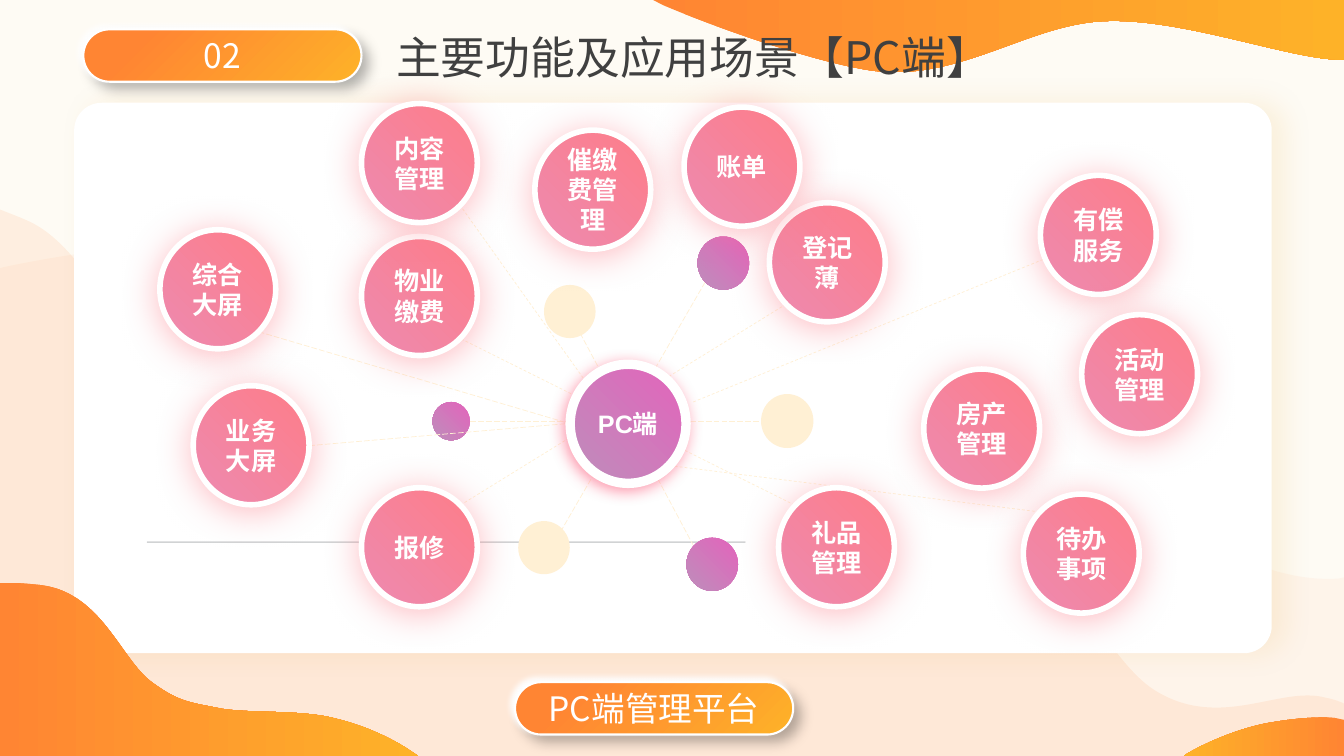
from dataclasses import dataclass

from lxml import etree
from pptx import Presentation
from pptx import util as u
from pptx.dml.color import RGBColor
from pptx.enum import dml, shapes, text
from pptx.oxml import ns


@dataclass(frozen=True)
class Theme:
    """Colours, fonts and type sizes of the slide."""
    orange: str = "FF8533"
    amber: str = "FEB228"
    peach: str = "FFE7D6"
    cream: str = "FFF0D4"
    white: str = "FFFFFF"
    ink: str = "404040"
    rule: str = "D1D3D4"
    bubble: tuple = ("FE7D89", "ED8AB0")
    violet: tuple = ("E364BB", "BE8DBB")
    heading: str = "Noto Sans CJK SC"
    label: str = "Arial"
    title_pt: int = 32
    pill_pt: int = 24
    label_pt: int = 18


T = Theme()
SLIDE = (0, 0, 33.87, 19.05)
CARD = (1.87, 2.59, 30.18, 13.87)
BUBBLE = (2.92, 3.0)
OVAL, ROUND = shapes.MSO_SHAPE.OVAL, shapes.MSO_SHAPE.ROUNDED_RECTANGLE
DASH, LONG = dml.MSO_LINE.DASH, dml.MSO_LINE.LONG_DASH

HILLS = [(5.03, 6.17), (6.1, 6.2, 7.11, 6.32, 7.92, 6.6), (11.25, 7.77, 13.64, 14.45, 16.26, 14.94),
         (18.85, 15.39, 20.96, 9.5, 23.6, 9.42), (26.26, 9.32, 29.92, 13.72, 32.18, 14.4),
         (32.74, 14.55, 33.2, 14.61, 33.73, 14.58), (33.87, 14.55), (33.87, 19.05), (0, 19.05),
         (0, 6.76), (0.1, 6.73), (1.68, 6.4, 3.43, 6.15, 5.03, 6.17)]
DUNES = [(0, 5.28), (0.33, 5.41), (0.46, 5.46, 0.58, 5.51, 0.69, 5.56),
         (2.46, 6.32, 3.63, 9.91, 5.13, 10.95), (6.63, 12.01, 7.98, 10.95, 9.68, 11.86),
         (11.4, 12.78, 13.16, 16.51, 15.44, 16.46), (17.75, 16.38, 21.21, 11.33, 23.5, 11.48),
         (25.78, 11.63, 27.46, 16.38, 29.11, 17.4), (30.76, 18.42, 32.26, 17.27, 33.4, 17.58),
         (33.53, 17.6, 33.68, 17.65, 33.81, 17.7), (33.87, 17.73), (33.87, 19.05), (0, 19.05)]
TOP_WAVE = [(16.46, 0), (33.87, 0), (33.87, 1.5), (32.74, 1.57, 29.92, 0.48, 27.94, 0.53),
            (25.96, 0.56, 24.21, 2.08, 21.97, 1.78), (20.73, 1.6, 18.44, 0.86, 16.71, 0.13)]
RIGHT_WAVE = [(33.32, 18.08), (33.48, 18.08, 33.6, 18.08, 33.73, 18.11), (33.87, 18.14),
              (33.87, 19.05), (29.85, 19.05), (29.87, 19.02),
              (30.51, 18.64, 31.42, 18.29, 32.13, 18.19), (32.49, 18.13, 32.92, 18.08, 33.32, 18.08)]
LEFT_WAVE = [(0, 14.68), (0.23, 14.68), (0.71, 14.71, 1.12, 14.73, 1.42, 14.83),
             (2.67, 15.24, 3.12, 16.69, 3.84, 17.2), (4.52, 17.7, 4.8, 17.7, 5.59, 17.86),
             (6.35, 17.98, 7.62, 17.88, 8.46, 18.11), (9.22, 18.29, 9.96, 18.64, 10.46, 19),
             (10.54, 19.05), (0, 19.05)]

BACK_LINES = [(15.9, 4.52, 12.29, 10.75, LONG), (12.47, 5.28, 15.6, 11.15, LONG),
              (9.98, 8.03, 17.3, 8.03, LONG), (12.9, 7.04, 9.73, 2.59, DASH),
              (9.73, 10.14, 17.93, 5.08, DASH), (18.16, 10.14, 9.73, 5.94, DASH)]
FRONT_LINES = [(15.6, 7.54, 24.51, 3.91, DASH), (4.65, 5.77, 12.47, 8.08, LONG),
               (5.92, 8.64, 12.47, 8.08, LONG), (24.33, 10.31, 14.99, 9.14, DASH)]
FEATURES = [("催缴费管理", 11.61, 0.69), ("物业缴费", 7.24, 3.37), ("登记薄", 17.52, 2.52),
            ("报修", 7.24, 9.7), ("内容管理", 7.24, 0.02), ("礼品管理", 17.75, 9.7),
            ("房产管理", 21.41, 6.71), ("业务大屏", 3, 7.13), ("综合大屏", 2.16, 3.2),
            ("有偿服务", 24.35, 1.83), ("待办事项", 23.92, 9.86), ("活动管理", 25.39, 5.34),
            ("账单", 15.37, 0.11)]
DOTS = [(15.71, 3.37, 1.3, T.violet), (11.19, 10.54, 1.3, T.cream), (15.43, 10.96, 1.3, T.violet),
        (11.84, 4.59, 1.3, T.cream), (9.03, 7.54, 0.94, T.violet), (17.31, 7.34, 1.32, T.cream)]


def solid(color, alpha=100):
    """Return the XML of a solid fill."""
    return (f'<a:solidFill {ns.nsdecls("a")}><a:srgbClr val="{color}">'
            f'<a:alpha val="{alpha * 1000}"/></a:srgbClr></a:solidFill>')


def gradient(colors, direction, last=100):
    """Return the XML of a two-stop gradient with the given direction element."""
    stops = "".join(f'<a:gs pos="{pos * 1000}"><a:srgbClr val="{c}"/></a:gs>'
                    for pos, c in zip((0, last), colors))
    return f'<a:gradFill {ns.nsdecls("a")}><a:gsLst>{stops}</a:gsLst>{direction}</a:gradFill>'


def linear(colors, angle):
    """Return the XML of a linear gradient, its angle clockwise in degrees."""
    return gradient(colors, f'<a:lin ang="{angle * 60000}" scaled="0"/>')


def style(sp, fill, border=0, shadow=None):
    """Set fill, white border width and shadow (colour, alpha, blur, distance, angle)."""
    sp.fill.solid()
    pr = sp._element.spPr
    pr.replace(pr.find(ns.qn("a:solidFill")), etree.fromstring(fill))
    if border:
        sp.line.color.rgb = RGBColor.from_string(T.white)
        sp.line.width = u.Pt(border)
    else:
        sp.line.fill.background()
    sp.shadow.inherit = False
    if shadow:
        color, alpha, blur, dist, angle = shadow
        effect = etree.SubElement(pr.find(ns.qn("a:effectLst")), ns.qn("a:outerShdw"),
                                  blurRad=str(u.Pt(blur)), dist=str(u.Pt(dist)),
                                  dir=str(angle * 60000), algn="ctr", rotWithShape="0")
        rgb = etree.SubElement(effect, ns.qn("a:srgbClr"), val=color)
        etree.SubElement(rgb, ns.qn("a:alpha"), val=str(alpha * 1000))


def add_preset(s, kind, box, fill, border=0, shadow=None, corner=None):
    """Add a styled preset shape in a box given in centimetres."""
    sp = s.shapes.add_shape(kind, *map(u.Cm, box))
    if corner is not None:
        sp.adjustments[0] = corner
    style(sp, fill, border, shadow)
    return sp


def write(sp, words, size, font, color, align=text.PP_ALIGN.CENTER, bold=False, inset=0):
    """Write one run into a shape, centred vertically."""
    tf = sp.text_frame
    tf.word_wrap = True
    tf.auto_size = text.MSO_AUTO_SIZE.NONE
    tf.vertical_anchor = text.MSO_ANCHOR.MIDDLE
    tf.margin_left = tf.margin_right = u.Cm(inset)
    tf.margin_top = tf.margin_bottom = u.Cm(inset / 2)
    p = tf.paragraphs[0]
    p.alignment = align
    r = p.add_run()
    r.text = words
    r.font.size, r.font.bold, r.font.name = u.Pt(size), bold, font
    r.font.color.rgb = RGBColor.from_string(color)
    etree.SubElement(r._r.get_or_add_rPr(), ns.qn("a:ea"), typeface=font)


def add_wave(s, box, outline, fill):
    """Draw a closed outline of lines (2 numbers) and cubic curves (6 numbers)."""
    knots = [(seg[-2] * 100, seg[-1] * 100) for seg in outline]
    pen = s.shapes.build_freeform(*knots[0], scale=u.Cm(1) / 100)
    pen.add_line_segments(knots[1:], close=True)
    sp = pen.convert_to_shape(u.Cm(box[0]), u.Cm(box[1]))
    left, top = (min(axis) for axis in zip(*knots))
    sides = list(sp._element.iter(ns.qn("a:lnTo")))
    for side, seg in zip(sides, outline[1:]):
        if len(seg) == 6:
            curve = etree.Element(ns.qn("a:cubicBezTo"))
            for x, y in zip(seg[::2], seg[1::2]):
                etree.SubElement(curve, ns.qn("a:pt"), x=str(round(x * 100 - left)),
                                 y=str(round(y * 100 - top)))
            side.getparent().replace(side, curve)
    style(sp, fill)


def add_backdrop(s, box):
    """Draw the tinted page, its waves and the white card."""
    warm = (T.orange, T.amber)
    add_preset(s, ROUND, box, solid(T.amber, 5), corner=0)
    add_wave(s, box, HILLS, solid(T.peach, 30))
    add_wave(s, box, DUNES, solid(T.orange, 10))
    add_wave(s, box, TOP_WAVE, linear(warm, 0))
    add_wave(s, box, RIGHT_WAVE, linear(warm, 180))
    add_preset(s, ROUND, CARD, solid(T.white), shadow=("DB8E01", 10, 20, 10, 0), corner=0.05)
    add_preset(s, ROUND, (CARD[0] + 1.83, CARD[1] + 11.05, 15.09, 0.04), solid(T.rule), corner=0.5)
    add_wave(s, box, LEFT_WAVE, linear(warm, 0))


def add_pill(s, box, words):
    """Draw a raised orange pill with a caption."""
    add_preset(s, ROUND, box, solid(T.amber), shadow=("000000", 30, 10, 7, 45), corner=0.5)
    glow = gradient((T.amber, T.orange), '<a:path path="circle"><a:fillToRect l="100000" '
                    't="100000"/></a:path>', 80)
    sp = add_preset(s, ROUND, box, glow, 1.5, (T.white, 100, 4, 4, 220), 0.5)
    write(sp, words, T.pill_pt, T.heading, T.white)


def add_title(s, box, words):
    """Place the title placeholder above the backdrop."""
    sp = s.shapes.title
    sp.left, sp.top, sp.width, sp.height = map(u.Cm, box)
    s.shapes._spTree.append(sp._element)
    write(sp, words, T.title_pt, T.heading, T.ink, text.PP_ALIGN.LEFT)


def add_spokes(s, box, spokes):
    """Draw the dashed spokes relative to the box."""
    for x1, y1, x2, y2, dash in spokes:
        ends = (box[0] + x1, box[1] + y1, box[0] + x2, box[1] + y2)
        line = s.shapes.add_connector(shapes.MSO_CONNECTOR.STRAIGHT, *map(u.Cm, ends))
        line.line.color.rgb = RGBColor.from_string(T.cream)
        line.line.width = u.Pt(0.5)
        line.line.dash_style = dash
        etree.SubElement(line._element.spPr, ns.qn("a:effectLst"))


def add_feature_map(s, box):
    """Draw the hub, its dots, spokes and feature bubbles in the box."""
    left, top = box[:2]
    add_spokes(s, box, BACK_LINES)
    for x, y, size, color in DOTS:
        fill = solid(color) if color == T.cream else linear(color, 135)
        add_preset(s, OVAL, (left + x, top + y, size, size * 1.03), fill)
    add_spokes(s, box, FRONT_LINES)
    pink = (T.bubble, 4, ("FE7D89", 51, 26, 3, 90))
    hub = (T.violet, 6.75, ("FE6E8B", 70, 11, 3, 135))
    for words, x, y, look in [("PC端", 12.5, 6.59, hub)] + [(*f, pink) for f in FEATURES]:
        colors, border, shadow = look
        sp = add_preset(s, OVAL, (left + x, top + y, *BUBBLE), linear(colors, 135), border, shadow)
        write(sp, words, T.label_pt, T.label, T.white, bold=True, inset=0.25)


def main():
    """Build the slide and save it."""
    prs = Presentation()
    prs.slide_width, prs.slide_height = u.Cm(SLIDE[2]), u.Cm(SLIDE[3])
    s = prs.slides.add_slide(prs.slide_layouts[5])
    add_backdrop(s, SLIDE)
    add_pill(s, (2.1, 0.74, 7.01, 1.32), "02")
    add_title(s, (9.98, 0.73, 19.63, 1.37), "主要功能及应用场景【PC端】")
    add_feature_map(s, CARD)
    add_pill(s, (12.98, 17.19, 7.01, 1.32), "PC端管理平台")
    prs.save("out.pptx")


if __name__ == "__main__":
    main()
